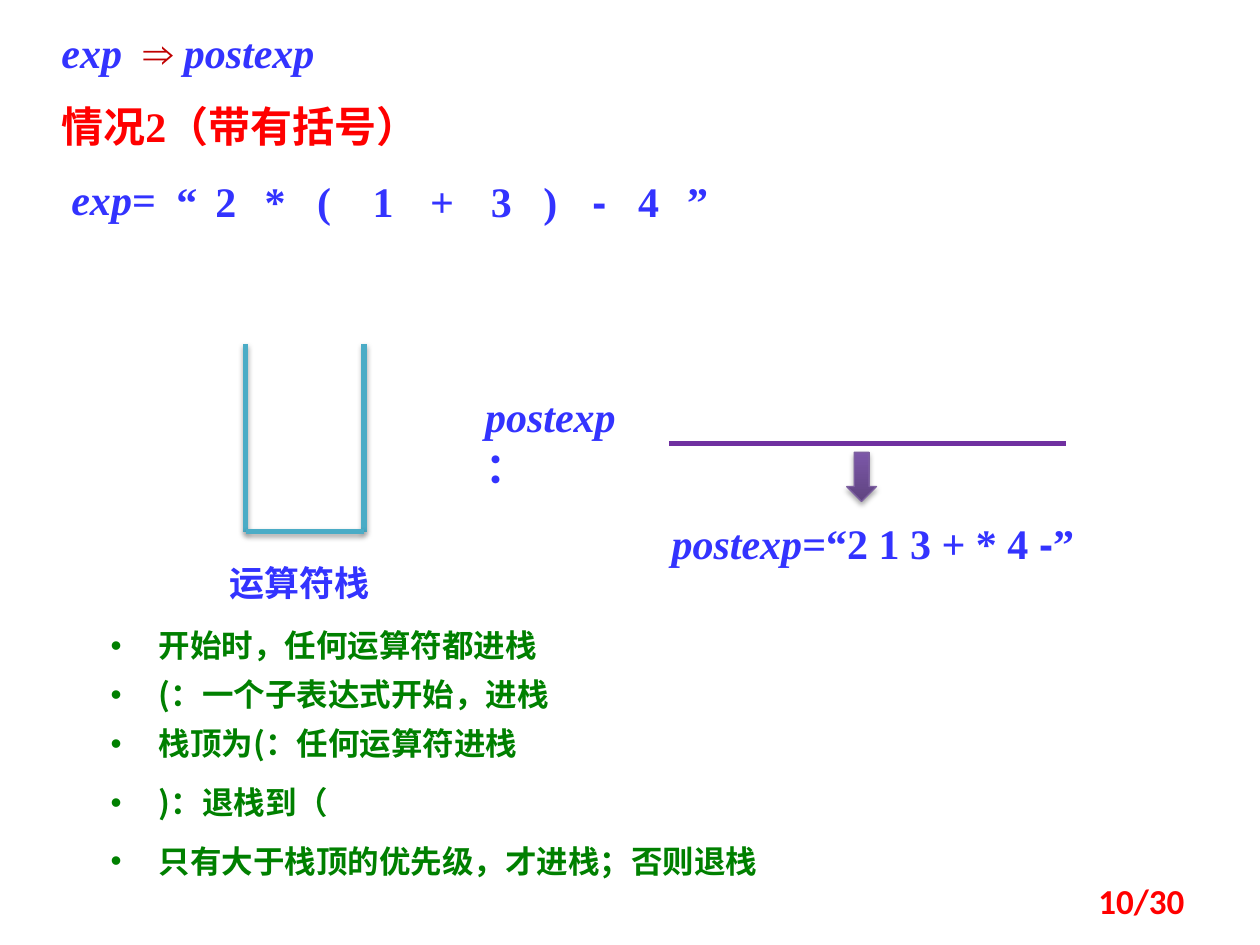
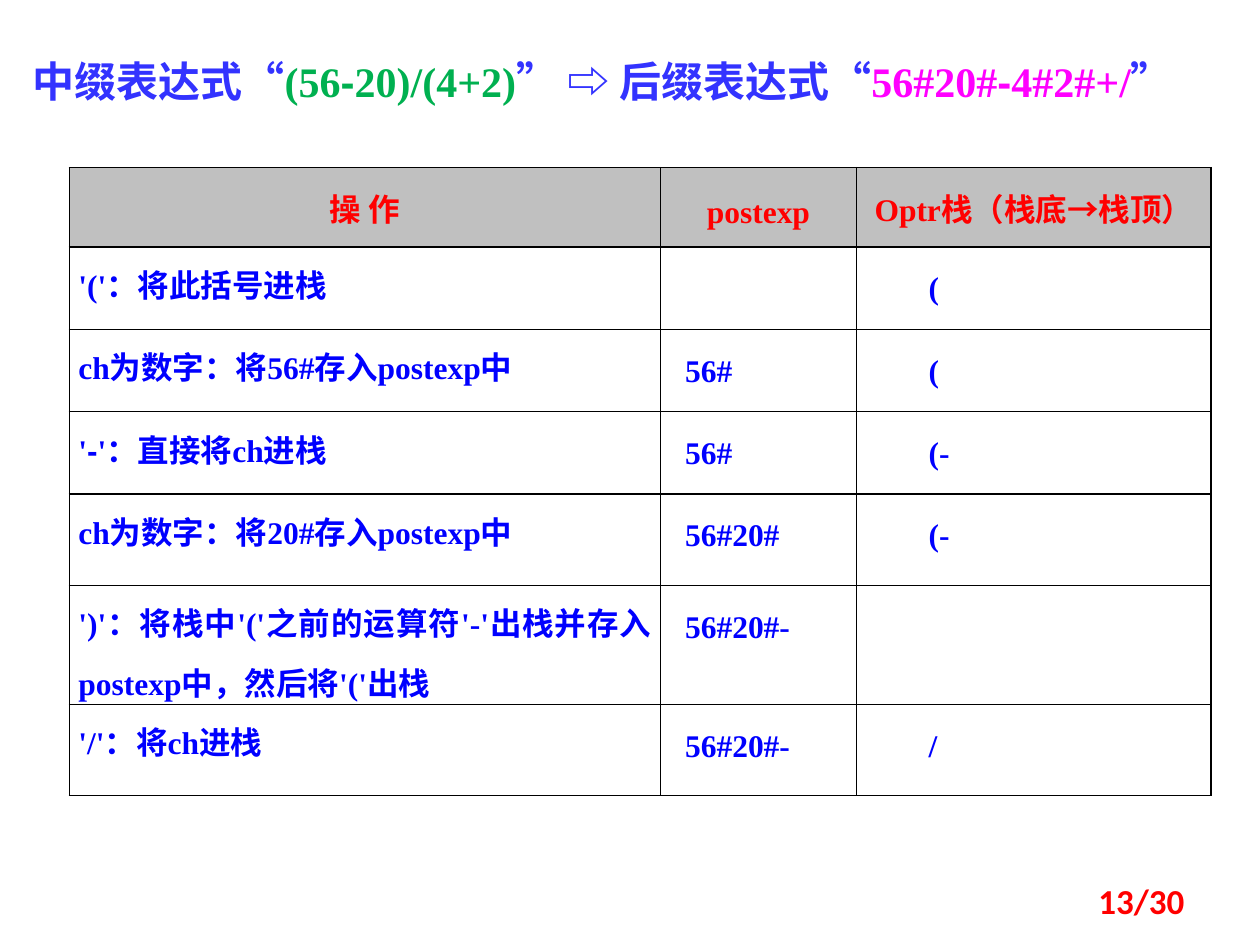
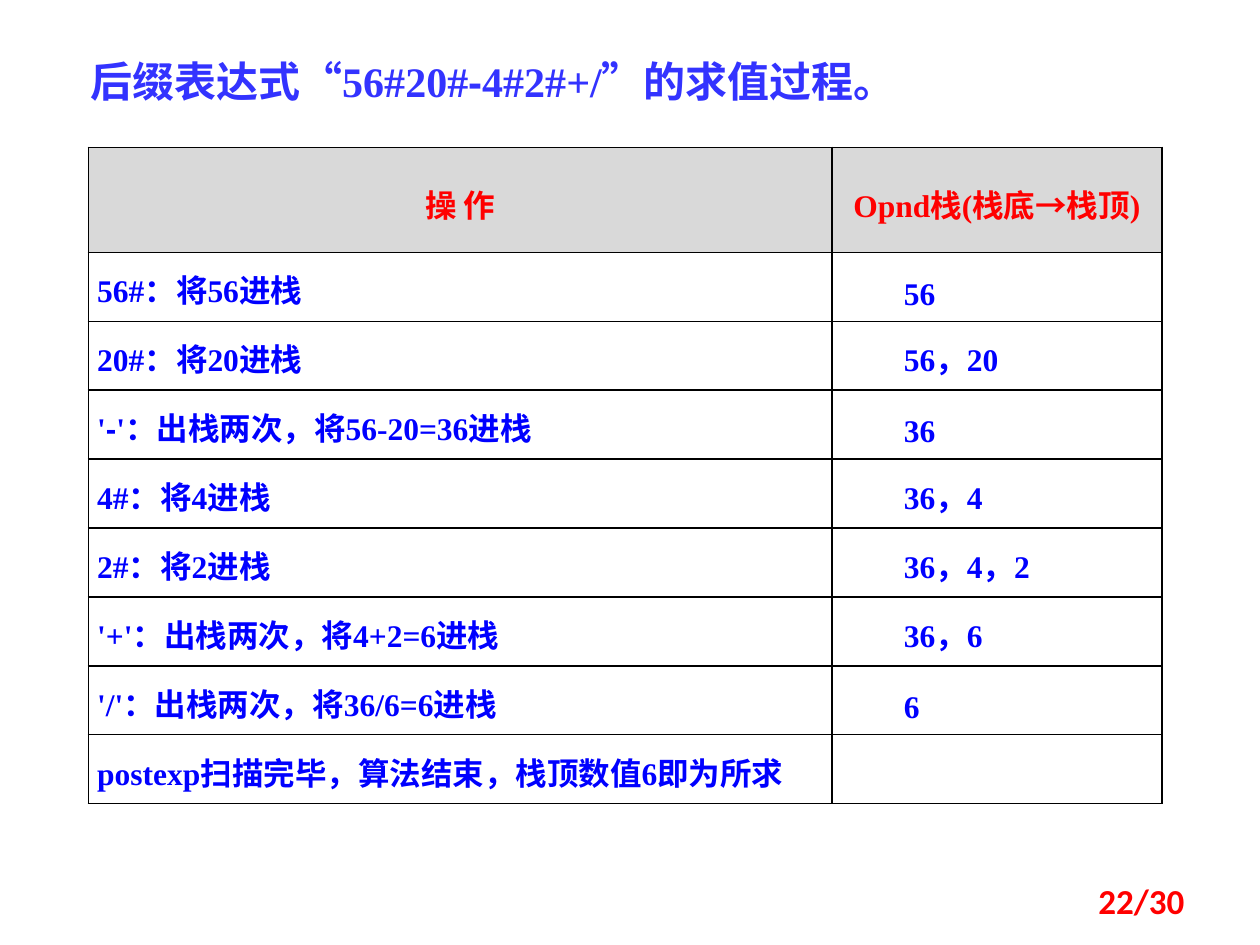
"""Build three slides on infix to postfix conversion and evaluation."""
from dataclasses import dataclass
from itertools import accumulate

from lxml import etree
from pptx import Presentation
from pptx import util as u
from pptx.dml import color as dml
from pptx.enum import shapes, text
from pptx.oxml import ns

LEFT, CENTER = text.PP_ALIGN.LEFT, text.PP_ALIGN.CENTER
RIGHT, JUSTIFY = text.PP_ALIGN.RIGHT, text.PP_ALIGN.JUSTIFY


@dataclass(frozen=True)
class Theme:
    """Colours, fonts and type sizes shared by the slides."""
    blue: str = "3333FF"
    red: str = "FF0000"
    dark_red: str = "C00000"
    green: str = "00B050"
    rule_green: str = "008000"
    pink: str = "FF00FF"
    cell_blue: str = "0000FF"
    stack: str = "4BACC6"
    purple: str = "7030A0"
    arrow_dark: str = "5F4480"
    arrow_light: str = "7C57A8"
    arrow_line: str = "7D60A0"
    black: str = "000000"
    serif: str = "Times New Roman"
    dash: str = "Arial"
    chinese: str = "Noto Sans CJK SC"
    footer: str = "Calibri"
    title_size: int = 24
    label_size: int = 20
    body_size: int = 18


THEME = Theme()


@dataclass(frozen=True)
class Box:
    """A rectangle in centimetres."""
    left: float
    top: float
    width: float
    height: float

    def inner(self, left, top, width, height):
        """Return a box placed relative to this one."""
        return Box(self.left + left, self.top + top, width, height)

    def lengths(self):
        """Return the four sides as lengths."""
        return [u.Cm(side) for side in (self.left, self.top, self.width, self.height)]


@dataclass(frozen=True)
class Span:
    """A piece of text in one style."""
    text: str
    color: str = THEME.blue
    font: str = THEME.serif
    size: int = THEME.title_size
    italic: bool = False
    spacing: int = 0


def rgb(value):
    """Return a colour from its hex value."""
    return dml.RGBColor.from_string(value)


def add_element(parent, tag, **attributes):
    """Append a drawing element and return it."""
    return etree.SubElement(parent, ns.qn(tag), {key: str(value) for key, value in attributes.items()})


def dashed(words, color=THEME.blue, size=THEME.title_size):
    """Return spans in which the first hyphen has the dash font."""
    before, hyphen, after = words.partition("-")
    return [Span(before, color, size=size), Span(hyphen, color, THEME.dash, size),
            Span(after, color, size=size)]


def write(para, spans, align=LEFT):
    """Add the spans to a paragraph, run by run."""
    para.alignment = align
    for span in spans:
        run = para.add_run()
        run.text = span.text
        font = run.font
        font.name, font.size = span.font, u.Pt(span.size)
        font.bold, font.italic = True, span.italic
        font.color.rgb = rgb(span.color)
        properties = font._element
        add_element(properties, "a:ea", typeface=THEME.chinese)
        if span.spacing:
            properties.set("spc", str(span.spacing))


def add_text(page, box, spans, align=LEFT, inset=True, anchor=text.MSO_ANCHOR.TOP):
    """Add a wrapped text box and return its paragraph."""
    frame = page.shapes.add_textbox(*box.lengths()).text_frame
    frame.word_wrap = True
    frame.vertical_anchor = anchor
    if not inset:
        frame.margin_left = frame.margin_right = frame.margin_top = frame.margin_bottom = 0
    para = frame.paragraphs[0]
    write(para, spans, align)
    return para


def set_shadow(shape, visible):
    """Give a shape a soft shadow below it, or none."""
    effects = add_element(shape._element.spPr, "a:effectLst")
    if visible:
        shadow = add_element(effects, "a:outerShdw", blurRad=u.Pt(3.1), dist=u.Pt(1.8),
                             dir=5400000, rotWithShape=0)
        tint = add_element(shadow, "a:srgbClr", val=THEME.black)
        add_element(tint, "a:alpha", val=35000)


def add_line(page, box, color, shadow=False):
    """Add a thick straight line across a box."""
    left, top, width, height = box.lengths()
    line = page.shapes.add_connector(shapes.MSO_CONNECTOR.STRAIGHT, left, top,
                                     left + width, top + height)
    line.line.color.rgb = rgb(color)
    line.line.width = u.Pt(3)
    set_shadow(line, shadow)


def add_page(deck, number):
    """Add a blank page with its page number."""
    page = deck.slides.add_slide(deck.slide_layouts[6])
    span = Span(f"{number}/30", THEME.red, THEME.footer, THEME.label_size)
    add_text(page, Box(18.21, 17.65, 5.92, 1.02), [span], RIGHT, anchor=text.MSO_ANCHOR.MIDDLE)
    return page


def add_heading(page, box):
    """Add the conversion title and the name of the case."""
    add_text(page, box.inner(0, 0, 6.93, 1.27), [
        Span("exp", italic=True), Span(" ", spacing=600),
        Span("⇒ ", THEME.dark_red), Span("postexp", italic=True)])
    add_text(page, box.inner(0, 1.5, 8.53, 1.27), [Span("情况2（带有括号）", THEME.red)])


def add_expression(page, box):
    """Add the infix expression, one symbol to a box."""
    add_text(page, box.inner(0, 0, 2.59, 1.27), [Span("exp", italic=True), Span("=")])
    narrow, wide = 0.99, 1.19
    steps = [0.79, narrow, narrow, wide, wide, wide] + [narrow] * 4
    for symbol, left in zip("“2*(1+3)-4”", accumulate(steps, initial=1.98)):
        font = THEME.dash if symbol == "-" else THEME.serif
        add_text(page, box.inner(left, 0.15, wide, 1.02), [Span(symbol, font=font)], CENTER, False)


def add_stack(page, box):
    """Add the empty operator stack and its label."""
    for side in (box.inner(0, 0, 0, box.height), box.inner(box.width, 0, 0, box.height),
                 box.inner(0, box.height, box.width, 0)):
        add_line(page, side, THEME.stack, shadow=True)
    add_text(page, box.inner(-0.58, box.height + 0.48, 3.58, 1.12),
             [Span("运算符栈", font=THEME.chinese, size=THEME.label_size)])


def add_result(page, box):
    """Add the postfix line, the arrow and the finished expression."""
    add_text(page, box.inner(0, 0, 3.96, 1.27), [Span("postexp", italic=True), Span("：")])
    add_line(page, box.inner(3.96, 1.19, 8, 0), THEME.purple)
    arrow = page.shapes.add_shape(shapes.MSO_SHAPE.DOWN_ARROW,
                                  *box.inner(7.54, 1.37, 0.6, 0.99).lengths())
    arrow.fill.gradient()
    arrow.fill.gradient_angle = 90
    for stop, color in zip(arrow.fill.gradient_stops, (THEME.arrow_dark, THEME.arrow_light)):
        stop.color.rgb = rgb(color)
    arrow.line.color.rgb = rgb(THEME.arrow_line)
    arrow.line.width = u.Pt(0.75)
    set_shadow(arrow, True)
    add_text(page, box.inner(3.76, 2.56, 9.93, 1.27),
             [Span("postexp", italic=True)] + dashed("=“2 1 3 + * 4 -”"))


def add_rules(page, box):
    """Add the bulleted rules of the operator stack."""
    rules = {0: "开始时，任何运算符都进栈", 0.99: "(：一个子表达式开始，进栈",
             1.98: "栈顶为(：任何运算符进栈", 3.17: ")：退栈到（",
             4.34: "只有大于栈顶的优先级，才进栈；否则退栈"}
    for top, rule in rules.items():
        span = Span(rule, THEME.rule_green, THEME.chinese, THEME.body_size)
        para = add_text(page, box.inner(0, top, box.width, 1.02), [span])
        properties = para._p.get_or_add_pPr()
        properties.set("marL", str(u.Cm(0.97)))
        properties.set("indent", str(u.Cm(-0.97)))
        add_element(properties, "a:buFont", typeface="Arial")
        add_element(properties, "a:buChar", char="•")


def style_cell(cell, fill):
    """Set the margins, black borders and fill of a cell."""
    cell.margin_left = cell.margin_right = u.Cm(0.18)
    cell.margin_top = cell.margin_bottom = 0
    properties = cell._tc.get_or_add_tcPr()
    for side in ("a:lnL", "a:lnR", "a:lnT", "a:lnB"):
        border = add_element(properties, side, w=u.Pt(1))
        add_element(add_element(border, "a:solidFill"), "a:srgbClr", val=THEME.black)
    if fill:
        cell.fill.solid()
        cell.fill.fore_color.rgb = rgb(fill)
    else:
        cell.fill.background()


def add_steps(page, box, widths, heights, rows, indents, head_fill, head_spacing):
    """Add a table of steps under a shaded heading row."""
    table = page.shapes.add_table(len(rows), len(widths), *box.lengths()).table
    table.first_row = table.horz_banding = False
    for column, width in zip(table.columns, widths):
        column.width = u.Cm(width)
    for index, (row, height, words) in enumerate(zip(table.rows, heights, rows)):
        row.height = u.Cm(height)
        heading = index == 0
        for cell, word, indent in zip(row.cells, words, indents):
            style_cell(cell, head_fill if heading else None)
            if not word:
                continue
            para = cell.text_frame.paragraphs[0]
            para.line_spacing = u.Pt(head_spacing if heading else 34)
            color = THEME.red if heading else THEME.cell_blue
            if word.startswith("'-'"):
                spans = dashed(word, color, THEME.body_size)
            else:
                spans = [Span(word, color, size=THEME.body_size)]
            write(para, spans, CENTER if heading else JUSTIFY)
            if heading:
                cell.vertical_anchor = text.MSO_ANCHOR.MIDDLE
            elif indent:
                para._p.get_or_add_pPr().set("marL", str(u.Cm(indent)))


def stack_slide(deck):
    """Build the slide of the case with parentheses."""
    page = add_page(deck, 10)
    add_heading(page, Box(0.99, 0.41, 8.53, 2.77))
    add_expression(page, Box(1.19, 3.38, 13.49, 1.27))
    add_stack(page, Box(4.95, 6.93, 2.39, 3.79))
    add_result(page, Box(9.53, 7.75, 13.69, 3.83))
    add_rules(page, Box(1.98, 12.5, 14.48, 5.36))


def conversion_slide(deck):
    """Build the slide that converts infix to postfix."""
    page = add_page(deck, 13)
    spans = ([Span("中缀表达式“")] + dashed("(56-20)/(4+2)", THEME.green)
             + [Span("” ⇨ 后缀表达式“")] + dashed("56#20#-4#2#+/", THEME.pink) + [Span("”")])
    add_text(page, Box(0.41, 0.99, 23.83, 1.27), spans)
    rows = [
        ("操 作", "postexp", "Optr栈（栈底→栈顶）"),
        ("'('：将此括号进栈", "", "("),
        ("ch为数字：将56#存入postexp中", "56#", "("),
        ("'-'：直接将ch进栈", "56#", "(-"),
        ("ch为数字：将20#存入postexp中", "56#20#", "(-"),
        ("')'：将栈中'('之前的运算符'-'出栈并存入postexp中，然后将'('出栈", "56#20#-", ""),
        ("'/'：将ch进栈", "56#20#-", "/"),
    ]
    add_steps(page, Box(1.4, 3.38, 23.01, 12.5), (11.91, 3.96, 7.14),
              (1.6, 1.66, 1.66, 1.66, 1.84, 2.06, 1.84), rows, (0, 0.32, 1.27), "C0C0C0", 26)


def evaluation_slide(deck):
    """Build the slide that evaluates the postfix expression."""
    page = add_page(deck, 22)
    add_text(page, Box(1.57, 0.99, 19.25, 1.27), dashed("后缀表达式“56#20#-4#2#+/”的求值过程。"))
    rows = [
        ("操 作", "Opnd栈(栈底→栈顶)"),
        ("56#：将56进栈", "56"),
        ("20#：将20进栈", "56，20"),
        ("'-'：出栈两次，将56-20=36进栈", "36"),
        ("4#：将4进栈", "36，4"),
        ("2#：将2进栈", "36，4，2"),
        ("'+'：出栈两次，将4+2=6进栈", "36，6"),
        ("'/'：出栈两次，将36/6=6进栈", "6"),
        ("postexp扫描完毕，算法结束，栈顶数值6即为所求", ""),
    ]
    add_steps(page, Box(1.78, 2.97, 21.64, 12.5), (14.99, 6.65), [1.39] * len(rows),
              rows, (0, 1.27), "D9D9D9", 30)


def main():
    """Build and save the deck."""
    deck = Presentation()
    deck.slide_width, deck.slide_height = u.Cm(25.4), u.Cm(19.05)
    stack_slide(deck)
    conversion_slide(deck)
    evaluation_slide(deck)
    deck.save("out.pptx")


if __name__ == "__main__":
    main()
